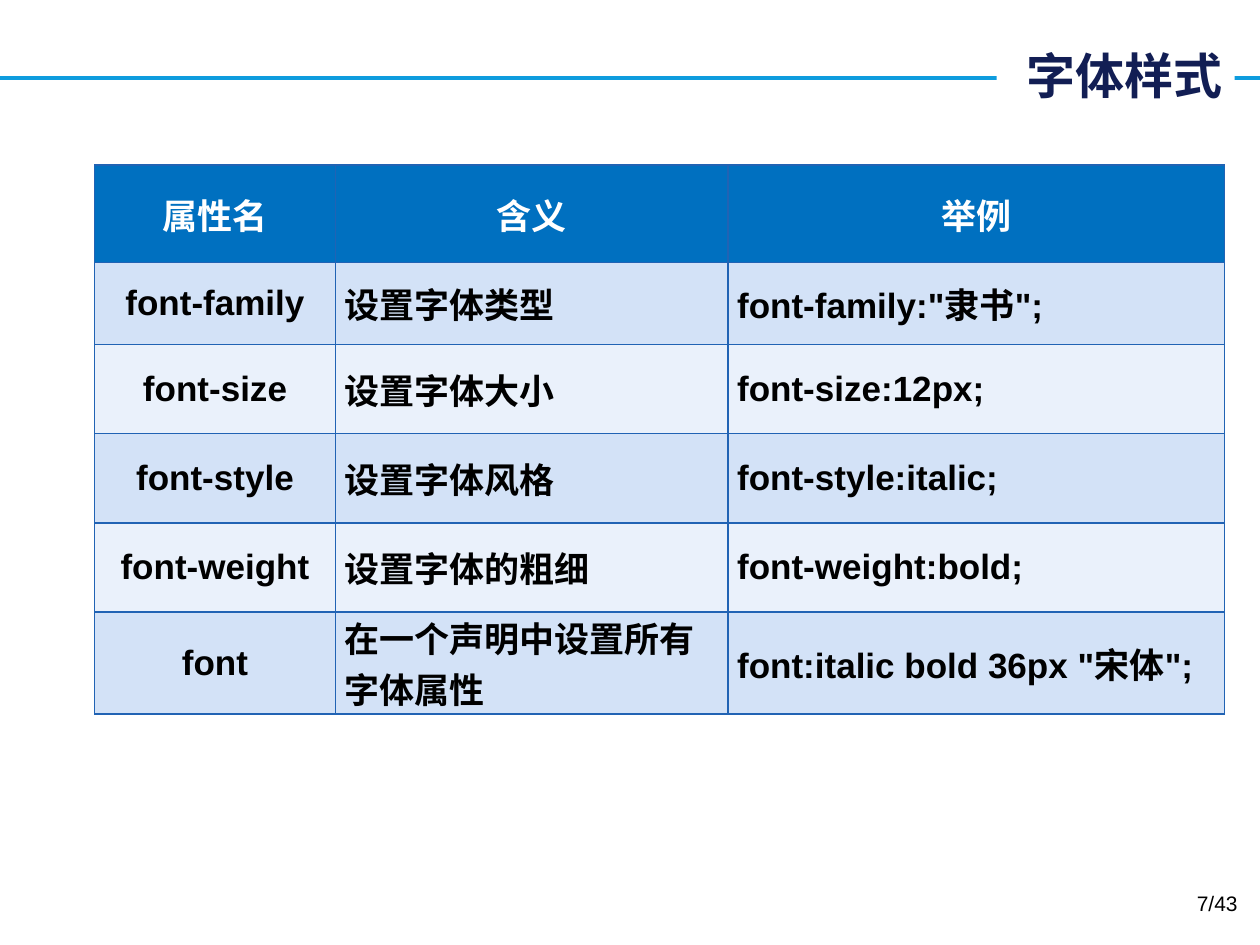
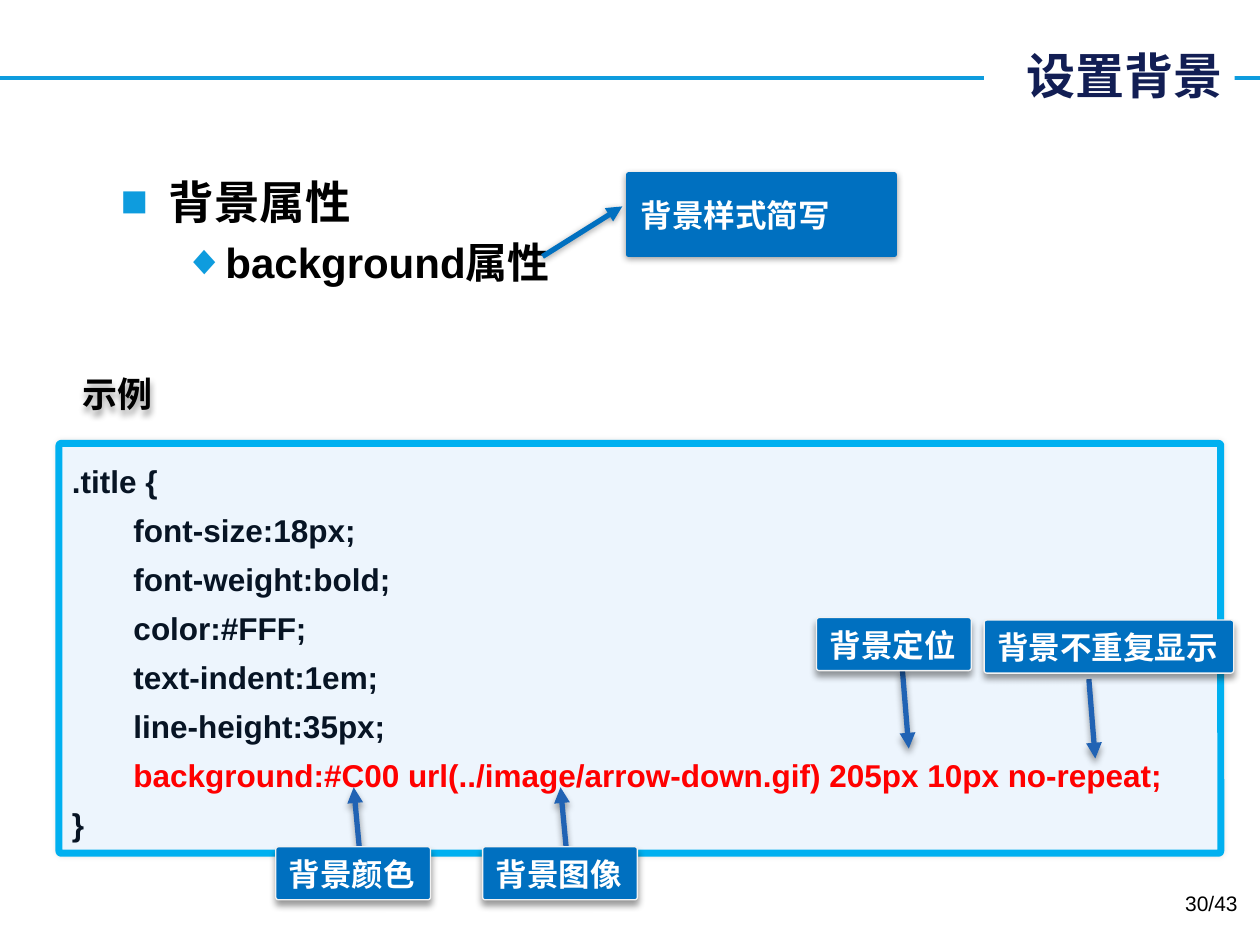
from dataclasses import dataclass

from lxml.etree import SubElement
from pptx import Presentation
from pptx.dml.color import RGBColor
from pptx.enum.shapes import MSO_CONNECTOR, MSO_SHAPE
from pptx.enum.text import MSO_ANCHOR, MSO_AUTO_SIZE, PP_ALIGN
from pptx.oxml import parse_xml
from pptx.oxml.ns import nsdecls, qn
from pptx.util import Cm, Pt

# Content: lengths in centimetres
TABLE_SLIDE = {"title": "字体样式", "title_width": 4.8, "number": "7/43"}
PROPERTIES = [
    ("属性名", "含义", "举例"),
    ("font-family", "设置字体类型", 'font-family:"隶书";'),
    ("font-size", "设置字体大小", "font-size:12px;"),
    ("font-style", "设置字体风格", "font-style:italic;"),
    ("font-weight", "设置字体的粗细", "font-weight:bold;"),
    ("font", "在一个声明中设置所有字体属性", 'font:italic bold 36px "宋体";'),
]
COLUMN_WIDTHS = (4.85, 7.92, 10.01)
ROW_HEIGHTS = (1.96, 1.65, 1.8, 1.8, 1.8, 1.8)

BACKGROUND_SLIDE = {"title": "设置背景", "title_width": 5.05, "number": "30/43"}
# text, level, bullet, left margin, hanging indent, size
BULLETS = [
    ("背景属性", 0, "■", 0.97, 0.97, 26),
    ("background属性", 1, "◆", 2.06, 0.79, 24),
]
EXAMPLE_HEADING = "示例"
CALLOUT = "背景样式简写"
CODE = [
    ".title {",
    "\tfont-size:18px;",
    "\tfont-weight:bold;",
    "\tcolor:#FFF;",
    "\ttext-indent:1em;",
    "\tline-height:35px;",
    "\tbackground:#C00 url(../image/arrow-down.gif) 205px 10px no-repeat;",
    "}",
]
KEY_LINE = 6
# text, left, top, width, arrow start, arrow run
UP, DOWN = (-0.13, -1.4), (0.13, 1.6)
LABELS = [
    ("背景颜色", 5.56, 17.07, 3.12, (7.26, 17.27), UP),
    ("背景图像", 9.73, 17.07, 3.12, (11.43, 17.27), UP),
    ("背景定位", 16.46, 12.45, 3.12, (18.19, 13.49), DOWN),
    ("背景不重复显示", 19.84, 12.5, 5.03, (21.95, 13.69), DOWN),
]


# Theme
@dataclass(frozen=True)
class Theme:
    latin: str = "Arial"
    chinese: str = "Noto Sans CJK SC"
    rule: str = "0E9CDE"
    title: str = "121E54"
    blue: str = "0070C0"
    edge: str = "2163B4"
    bands: tuple = ("EAF1FB", "D3E2F7")
    code_fill: str = "EDF5FD"
    code_edge: str = "00B0F0"
    code_text: str = "071424"
    label_edge: str = "F2F2F2"
    red: str = "FF0000"
    black: str = "000000"
    white: str = "FFFFFF"
    title_size: int = 28
    table_size: int = 20
    code_size: int = 18
    number_size: int = 12


THEME = Theme()
TITLE_RIGHT = 24.89


# Shared helpers
def color(value):
    return RGBColor.from_string(value)


def place(shape, left, top, width, height):
    shape.left, shape.top, shape.width, shape.height = map(Cm, (left, top, width, height))


def style(para, size, ink, bold=True, latin=THEME.latin, align=PP_ALIGN.LEFT):
    para.alignment = align
    font = para.font
    font.size, font.bold, font.name = Pt(size), bold, latin
    font.color.rgb = color(ink)
    SubElement(font._rPr, qn("a:ea"), typeface=THEME.chinese)


def paint(shape, fill, edge, width):
    shape.shadow.inherit = False
    shape.fill.solid()
    shape.fill.fore_color.rgb = color(fill)
    shape.line.color.rgb = color(edge)
    shape.line.width = Pt(width)


def cast_shadow(shape, alpha=40, blur=4, distance=3):
    properties = shape._element.spPr
    for old in properties.findall(qn("a:effectLst")):
        properties.remove(old)
    properties.append(parse_xml(
        f'<a:effectLst {nsdecls("a")}><a:outerShdw blurRad="{Pt(blur)}" '
        f'dist="{Pt(distance)}" dir="5400000" algn="ctr" rotWithShape="0">'
        f'<a:srgbClr val="{THEME.black}"><a:alpha val="{alpha * 1000}"/></a:srgbClr>'
        '</a:outerShdw></a:effectLst>'))


def add_line(page, start, end, ink, width):
    line = page.shapes.add_connector(MSO_CONNECTOR.STRAIGHT, *map(Cm, (*start, *end)))
    line.line.color.rgb = color(ink)
    line.line.width = Pt(width)
    SubElement(line._element.spPr, qn("a:effectLst"))
    return line


def arrowhead(shape, side):
    SubElement(shape.line._get_or_add_ln(), qn(f"a:{side}"), type="triangle")


def add_page(deck, layout, content):
    page = deck.slides.add_slide(deck.slide_layouts[layout])
    rule = add_line(page, (0, 1.57), (25.4, 1.57), THEME.rule, 2.25)
    page.shapes._spTree.insert(2, rule._element)

    title = page.shapes.title
    width = content["title_width"]
    place(title, TITLE_RIGHT - width, 0.79, width, 1.45)
    title.fill.solid()
    title.fill.fore_color.rgb = color(THEME.white)
    frame = title.text_frame
    frame.text = content["title"]
    frame.auto_size = MSO_AUTO_SIZE.NONE
    frame.vertical_anchor = MSO_ANCHOR.MIDDLE
    style(frame.paragraphs[0], THEME.title_size, THEME.title,
          latin=THEME.chinese, align=PP_ALIGN.RIGHT)
    return page


def add_number(page, number):
    box = page.shapes.add_textbox(Cm(19.28), Cm(17.83), Cm(5.92), Cm(1.02))
    box.text_frame.word_wrap = True
    box.text_frame.text = number
    style(box.text_frame.paragraphs[0], THEME.number_size, THEME.black,
          bold=False, align=PP_ALIGN.RIGHT)


# Property table
def border(cell):
    properties = cell._tc.get_or_add_tcPr()
    for index, side in enumerate(("lnL", "lnR", "lnT", "lnB")):
        properties.insert(index, parse_xml(
            f'<a:{side} {nsdecls("a")} w="{Pt(1)}"><a:solidFill>'
            f'<a:srgbClr val="{THEME.edge}"/></a:solidFill></a:{side}>'))


def add_property_table(page):
    table = page.shapes.add_table(
        len(PROPERTIES), len(COLUMN_WIDTHS), Cm(1.91), Cm(3.33),
        Cm(sum(COLUMN_WIDTHS)), Cm(sum(ROW_HEIGHTS))).table
    for column, width in zip(table.columns, COLUMN_WIDTHS):
        column.width = Cm(width)
    for r, (row, height) in enumerate(zip(table.rows, ROW_HEIGHTS)):
        row.height = Cm(height)
        for c, cell in enumerate(row.cells):
            header = r == 0
            cell.text = PROPERTIES[r][c]
            cell.vertical_anchor = MSO_ANCHOR.MIDDLE
            cell.margin_left = cell.margin_right = Cm(0.18)
            cell.margin_top = cell.margin_bottom = 0
            cell.fill.solid()
            cell.fill.fore_color.rgb = color(THEME.blue if header else THEME.bands[r % 2])
            border(cell)
            para = cell.text_frame.paragraphs[0]
            para.space_before = Pt(THEME.table_size * 0.2)
            style(para, THEME.table_size, THEME.white if header else THEME.black,
                  align=PP_ALIGN.CENTER if header or c == 0 else PP_ALIGN.LEFT)


# Background example
def add_bullets(page):
    body = page.placeholders[1]
    place(body, 2.18, 3.38, 21.23, 14.3)
    frame = body.text_frame
    frame.text = "\n".join(item[0] for item in BULLETS)
    for para, (_, level, bullet, margin, hanging, size) in zip(frame.paragraphs, BULLETS):
        properties = para._p.get_or_add_pPr()
        properties.set("marL", str(Cm(margin)))
        properties.set("indent", str(-Cm(hanging)))
        bullet_color = SubElement(properties, qn("a:buClr"))
        SubElement(bullet_color, qn("a:srgbClr"), val=THEME.rule)
        SubElement(properties, qn("a:buFont"), typeface=THEME.latin)
        SubElement(properties, qn("a:buChar"), char=bullet)
        para.level = level
        para.space_before = Pt(size * 0.2)
        style(para, size, THEME.black)


def add_heading(page):
    box = page.shapes.add_textbox(Cm(1.42), Cm(7.37), Cm(1.96), Cm(1.12))
    frame = box.text_frame
    frame.word_wrap = False
    frame.vertical_anchor = MSO_ANCHOR.MIDDLE
    frame.text = EXAMPLE_HEADING
    style(frame.paragraphs[0], THEME.table_size, THEME.black, latin=THEME.chinese)
    cast_shadow(box)


def add_code(page):
    box = page.shapes.add_shape(MSO_SHAPE.ROUNDED_RECTANGLE,
                                Cm(1.19), Cm(8.94), Cm(23.42), Cm(8.26))
    box.adjustments[0] = 0.005
    paint(box, THEME.code_fill, THEME.code_edge, 4)
    cast_shadow(box, alpha=10, blur=3, distance=0)
    frame = box.text_frame
    frame.vertical_anchor = MSO_ANCHOR.TOP
    frame.text = "\n".join(CODE)
    for index, para in enumerate(frame.paragraphs):
        tabs = SubElement(para._p.get_or_add_pPr(), qn("a:tabLst"))
        SubElement(tabs, qn("a:tab"), pos=str(Cm(1.24)), algn="l")
        para.line_spacing = 1.3
        style(para, THEME.code_size, THEME.red if index == KEY_LINE else THEME.code_text)


def add_callout(page):
    box = page.shapes.add_shape(MSO_SHAPE.LINE_CALLOUT_1,
                                Cm(12.67), Cm(3.53), Cm(5.36), Cm(1.6))
    box._element.spPr.find(qn("a:xfrm")).set("flipH", "1")
    for index, value in enumerate((0.395, 1.023, 1.026, 1.323)):
        box.adjustments[index] = value
    paint(box, THEME.blue, THEME.blue, 3)
    arrowhead(box, "headEnd")
    cast_shadow(box, distance=1)
    box.text_frame.vertical_anchor = MSO_ANCHOR.MIDDLE
    box.text_frame.text = CALLOUT
    style(box.text_frame.paragraphs[0], THEME.code_size, THEME.white, latin=THEME.chinese)


def add_label(page, text, left, top, width, start, run):
    end = (start[0] + run[0], start[1] + run[1])
    arrow = add_line(page, start, end, THEME.edge, 3)
    arrowhead(arrow, "tailEnd")
    cast_shadow(arrow)

    box = page.shapes.add_shape(MSO_SHAPE.ROUNDED_RECTANGLE,
                                Cm(left), Cm(top), Cm(width), Cm(1.07))
    box.adjustments[0] = 0.05
    paint(box, THEME.blue, THEME.label_edge, 0.75)
    cast_shadow(box)
    frame = box.text_frame
    frame.word_wrap = False
    frame.vertical_anchor = MSO_ANCHOR.BOTTOM
    frame.text = text
    para = frame.paragraphs[0]
    para.space_before = Pt(THEME.code_size * 0.2)
    style(para, THEME.code_size, THEME.white)


def main():
    deck = Presentation()
    deck.slide_width, deck.slide_height = Cm(25.4), Cm(19.05)

    page = add_page(deck, 5, TABLE_SLIDE)
    add_property_table(page)
    add_number(page, TABLE_SLIDE["number"])

    page = add_page(deck, 1, BACKGROUND_SLIDE)
    add_bullets(page)
    add_heading(page)
    add_code(page)
    add_callout(page)
    for label in LABELS:
        add_label(page, *label)
    add_number(page, BACKGROUND_SLIDE["number"])

    deck.save("out.pptx")


if __name__ == "__main__":
    main()
